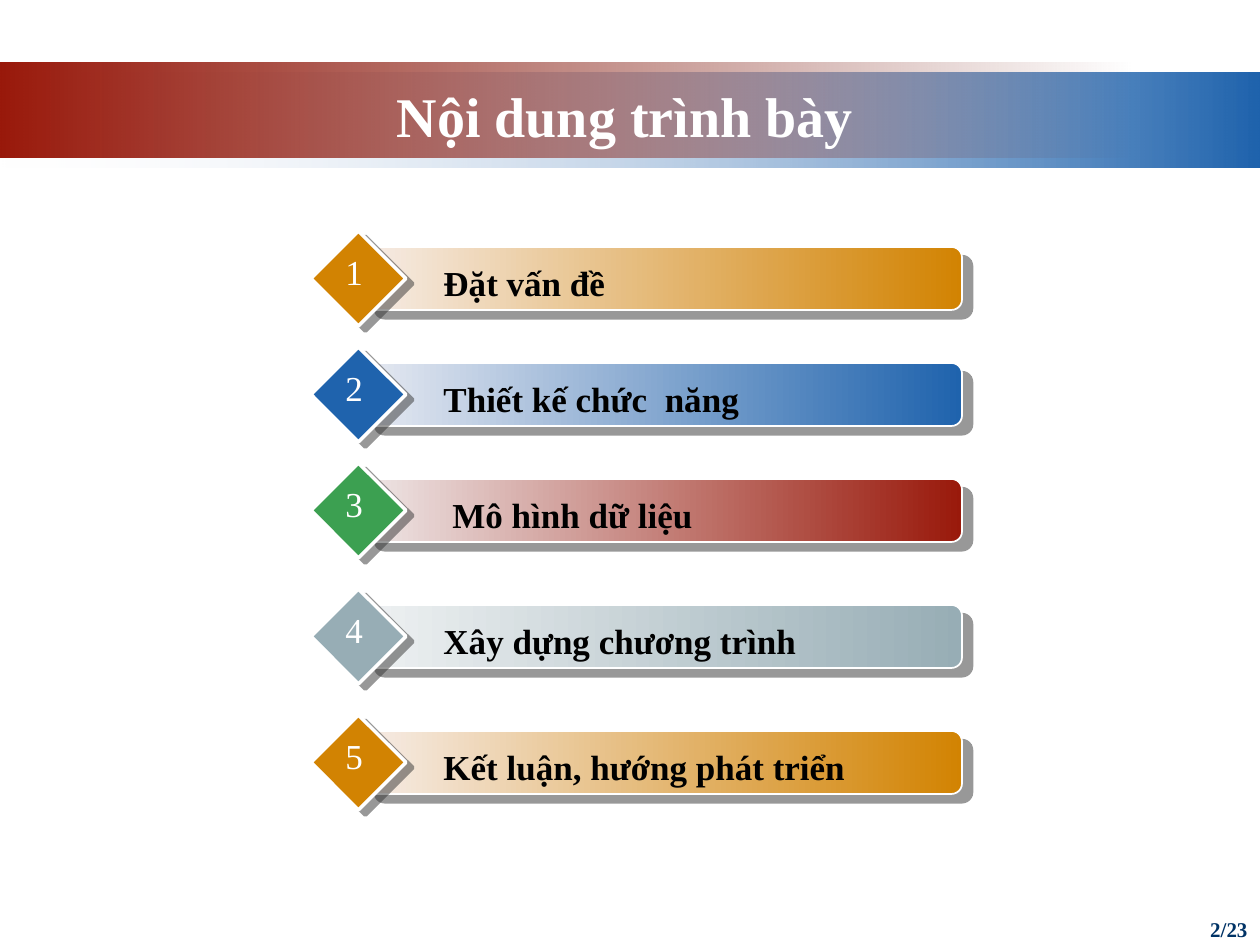
from lxml.etree import SubElement
from pptx import Presentation
from pptx.dml.color import RGBColor
from pptx.enum.shapes import MSO_SHAPE as Preset
from pptx.enum.text import MSO_ANCHOR as Anchor, MSO_AUTO_SIZE as AutoSize, PP_ALIGN as Align
from pptx.oxml.ns import qn
from pptx.util import Emu, Pt

EMU_PER_PX = 914400 / 126
FONT = "Times New Roman"
BAR_LEFT, BAR_WIDTH, BAR_HEIGHT = 364, 598, 63
DIAMOND_LEFT, DIAMOND_SIZE = 311, 95

AGENDA = [
    (247, "Đặt vấn đề", 35, "F6ECE6", "D28302", "D28302"),
    (363, "Thiết kế chức  năng", 35, "E6E9F1", "1F63AD", "1F63AD"),
    (479, "Mô hình dữ liệu", 44, "EEE6E6", "99190B", "3CA051"),
    (605, "Xây dựng chương trình", 35, "EEF1F2", "97ADB5", "97ADB5"),
    (731, "Kết luận, hướng phát triển", 35, "F6ECE6", "D28302", "D28302"),
]


def px(length):
    """Turn whole pixels into EMU."""
    return Emu(round(length * EMU_PER_PX))


def box(*lengths):
    """Turn left, top, width and height into EMU."""
    return [px(length) for length in lengths]


def colour(hex_value):
    """Turn a hex string into a colour."""
    return RGBColor.from_string(hex_value)


def fill_gradient(shape, start, end, clear_stop=None):
    """Fill from left to right, with one stop fully transparent if asked."""
    shape.fill.gradient()
    shape.fill.gradient_angle = 0
    stops = shape.fill.gradient_stops
    for stop, hex_value in zip(stops, (start, end)):
        stop.color.rgb = colour(hex_value)
    if clear_stop is not None:
        stop_colours = list(shape._element.spPr.iter(qn("a:srgbClr")))
        SubElement(stop_colours[clear_stop], qn("a:alpha"), val="0")


def outline(shape, width):
    """Give a shape a white outline."""
    shape.line.color.rgb = colour("FFFFFF")
    shape.line.width = Pt(width)


def cast_shadow(shape, distance, degrees):
    """Give a shape a sharp, half-transparent grey shadow."""
    shape.shadow.inherit = False
    effects = shape._element.spPr.find(qn("a:effectLst"))
    shadow = SubElement(effects, qn("a:outerShdw"), blurRad="0", dist=str(Pt(distance)),
                        dir=str(degrees * 60000), algn="ctr", rotWithShape="0")
    shadow_colour = SubElement(shadow, qn("a:srgbClr"), val="333333")
    SubElement(shadow_colour, qn("a:alpha"), val="50000")


def write(shape, text, size, hex_value, bold=True, align=Align.LEFT):
    """Write one formatted run and return its paragraph."""
    paragraph = shape.text_frame.paragraphs[0]
    paragraph.alignment = align
    run = paragraph.add_run()
    run.text = text
    run.font.name = FONT
    run.font.size = Pt(size)
    run.font.bold = bold
    run.font.color.rgb = colour(hex_value)
    return paragraph


def add_text(shapes, bounds, text, size, hex_value, wrap=True, **style):
    """Add a text box and return its paragraph."""
    text_box = shapes.add_textbox(*box(*bounds))
    text_box.text_frame.word_wrap = wrap
    text_box.text_frame.auto_size = AutoSize.NONE
    return write(text_box, text, size, hex_value, **style)


def add_band(slide, top, width, start, end, clear_stop):
    """Add one fading band behind the title."""
    band = slide.shapes.add_shape(Preset.RECTANGLE, *box(0, top, width, 95))
    band.shadow.inherit = False
    band.line.fill.background()
    fill_gradient(band, start, end, clear_stop)


def place_title(slide, text):
    """Move the title placeholder in front of the bands and format it."""
    title = slide.shapes.title
    slide.shapes._spTree.append(title._element)
    title.left, title.top, title.width, title.height = box(116, 76, 1018, 78)
    title.text_frame.vertical_anchor = Anchor.MIDDLE
    title.text_frame.auto_size = AutoSize.NONE
    write(title, text, 32, "FFFFFF", align=Align.CENTER)


def add_agenda_item(slide, number, top, label, indent, pale, strong, diamond_colour):
    """Add a group of bar, numbered diamond and label."""
    shapes = slide.shapes.add_group_shape().shapes
    bar = shapes.add_shape(Preset.ROUNDED_RECTANGLE, *box(BAR_LEFT, top, BAR_WIDTH, BAR_HEIGHT))
    fill_gradient(bar, pale, strong)
    outline(bar, 1)
    cast_shadow(bar, 7.8, 40)

    diamond_top = top + (BAR_HEIGHT - DIAMOND_SIZE) // 2
    diamond = shapes.add_shape(
        Preset.DIAMOND, *box(DIAMOND_LEFT, diamond_top, DIAMOND_SIZE, DIAMOND_SIZE))
    diamond.fill.solid()
    diamond.fill.fore_color.rgb = colour(diamond_colour)
    outline(diamond, 2)
    cast_shadow(diamond, 5, 37)

    paragraph = add_text(shapes, (396, top + 8, 472, 55), label, 20, "000000")
    paragraph._p.get_or_add_pPr().set("marL", str(px(indent)))
    add_text(shapes, (333, top - 3, 43, 55), str(number), 20, "FFFFFF", wrap=False, bold=False)


def main():
    """Build and save the agenda slide."""
    presentation = Presentation()
    presentation.slide_width, presentation.slide_height = px(1260), px(945)
    slide = presentation.slides.add_slide(presentation.slide_layouts[5])
    add_band(slide, 73, 1260, "F1F2F7", "1F63AD", 0)
    add_band(slide, 63, 1134, "99190B", "6D1208", 1)
    place_title(slide, "Nội dung trình bày")
    for number, item in enumerate(AGENDA, start=1):
        add_agenda_item(slide, number, *item)
    add_text(slide.shapes, (966, 910, 294, 35), "2/23", 12, "003366", align=Align.RIGHT)
    presentation.save("out.pptx")


if __name__ == "__main__":
    main()
